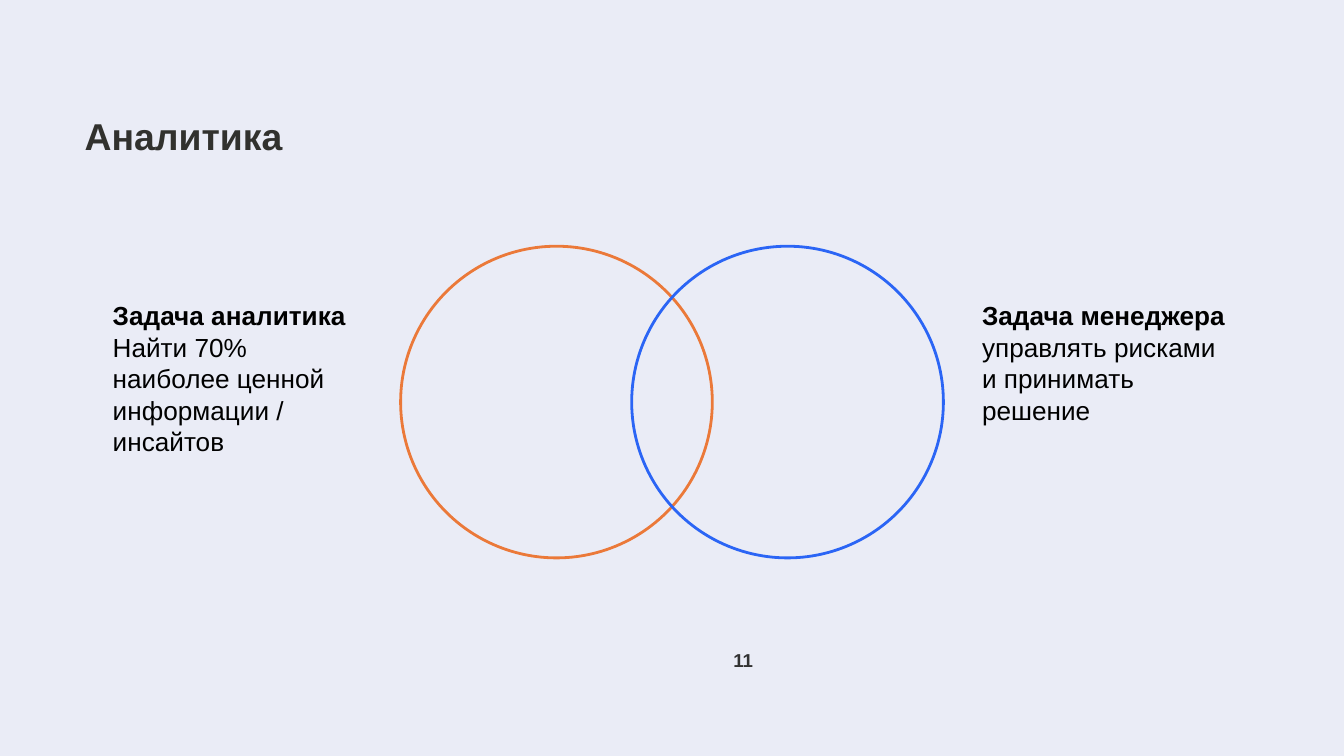
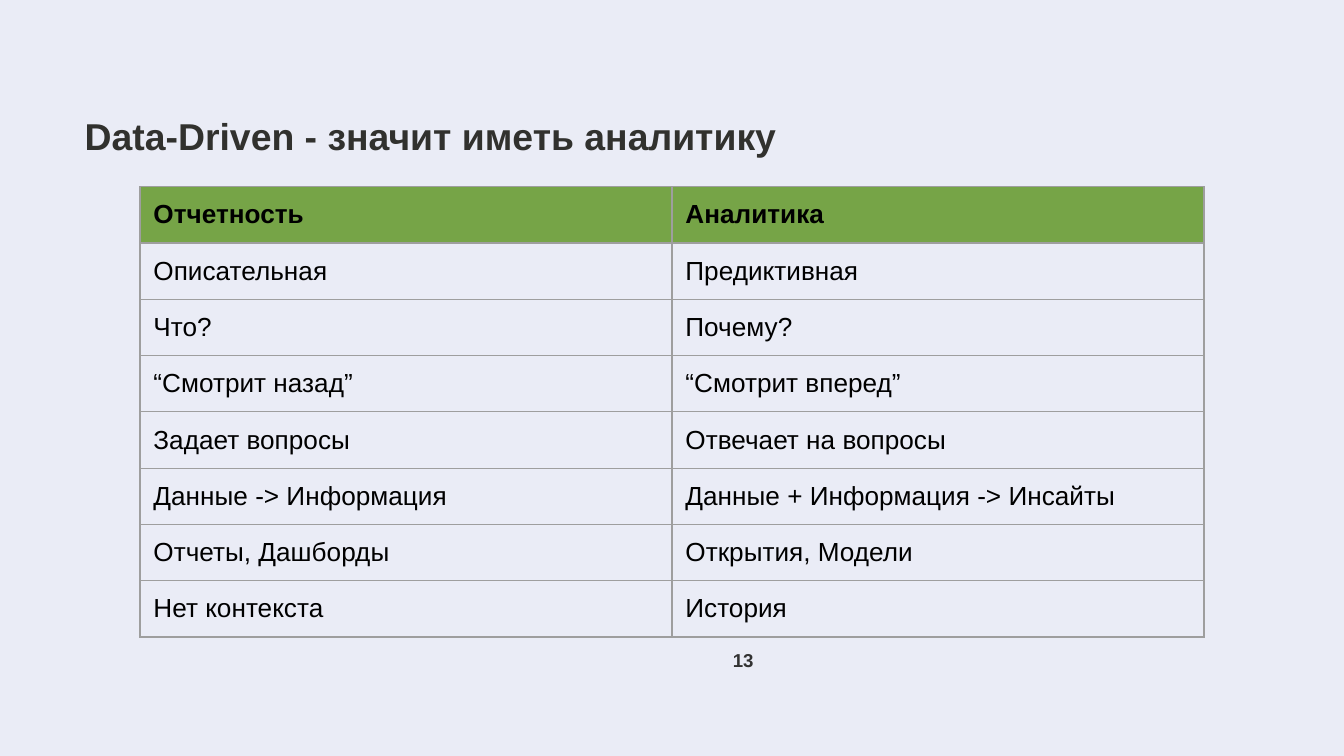
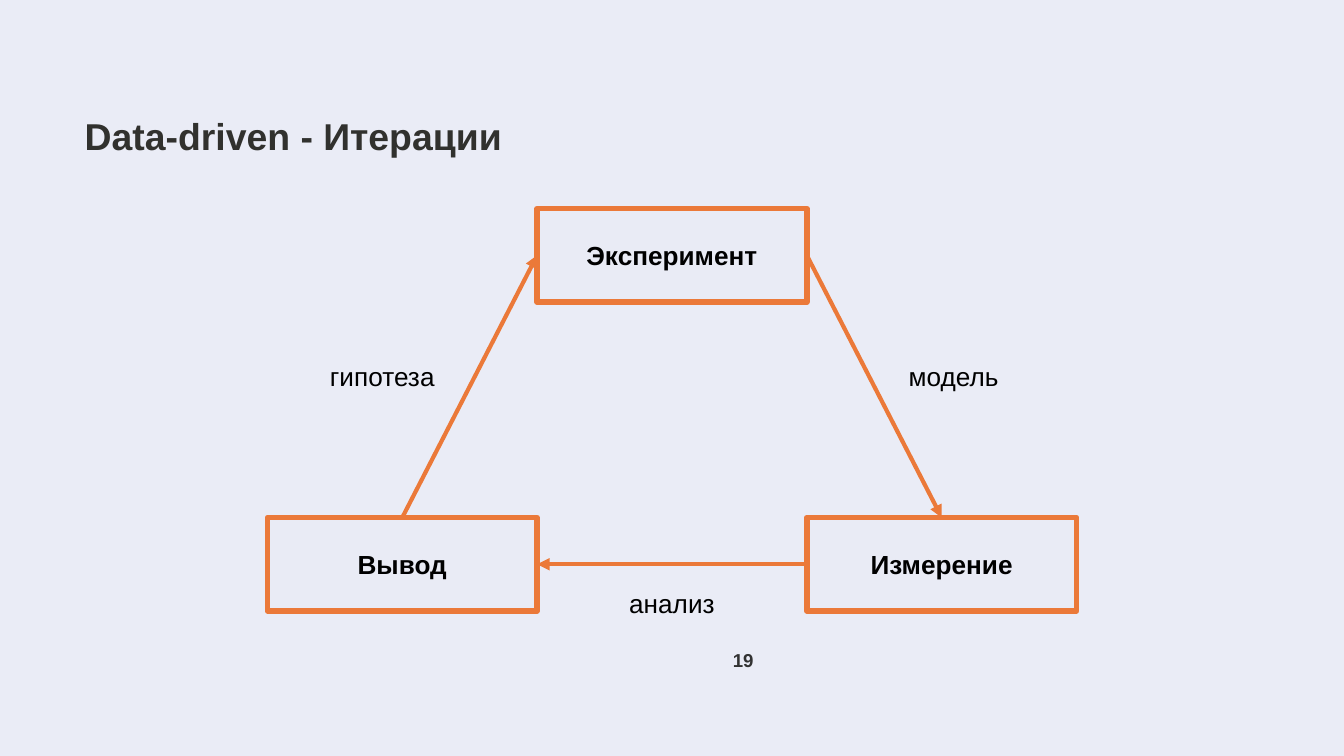
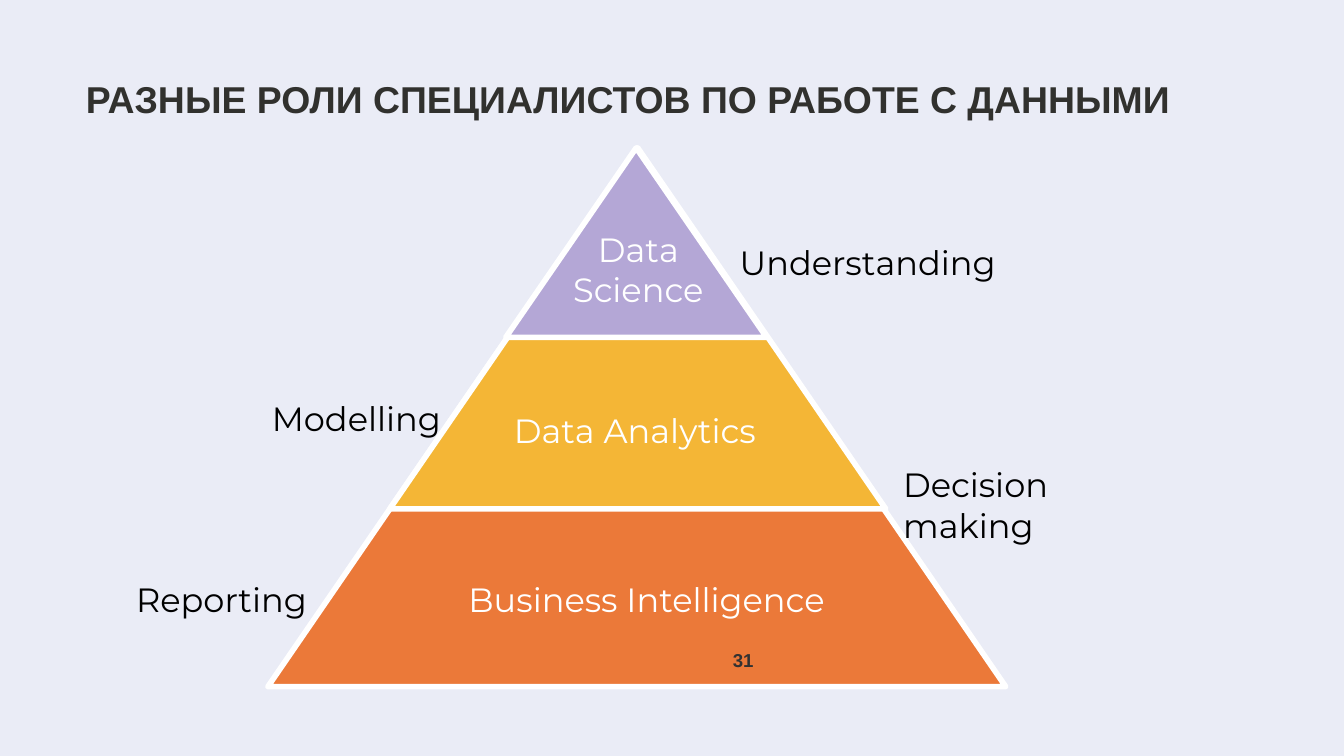
from lxml import etree
from pptx import Presentation
from pptx.dml.color import RGBColor
from pptx.enum import shapes, text
from pptx.oxml import ns
from pptx.util import Pt

BACKGROUND = RGBColor(0xEA, 0xEC, 0xF6)
TITLE_INK = RGBColor(0x31, 0x31, 0x2E)
NUMBER_INK = RGBColor(0x32, 0x32, 0x32)
BLACK = RGBColor(0x00, 0x00, 0x00)
WHITE = RGBColor(0xFF, 0xFF, 0xFF)
ORANGE = RGBColor(0xEB, 0x79, 0x39)
BLUE = RGBColor(0x2B, 0x65, 0xF5)
NODE_FILL = RGBColor(0xE9, 0xEB, 0xF5)
GREEN = RGBColor(0x76, 0xA4, 0x47)
GREY = RGBColor(0x9E, 0x9E, 0x9E)
YELLOW = RGBColor(0xF4, 0xB6, 0x36)
LILAC = RGBColor(0xB4, 0xA7, 0xD6)

LEFT, CENTER = text.PP_ALIGN.LEFT, text.PP_ALIGN.CENTER
TOP, MIDDLE = text.MSO_ANCHOR.TOP, text.MSO_ANCHOR.MIDDLE
KIND = shapes.MSO_SHAPE
TOP_SITE, LEFT_SITE, RIGHT_SITE = 0, 1, 3

TITLE_BOX = (40.3, 40.3, 614.2, 67.7)
NUMBER_BOX = (371.5, 339.8, 53.3, 29.5)
WIDE_INSET = (7.2, 7.2)
TITLE_INSET = (5.05, 2.9)
PYRAMID_INSET = (5.05, 5.05)


def assign(target, values):
    for name, value in values.items():
        setattr(target, name, value)


def points(box):
    return [Pt(value) for value in box]


def add_element(parent, tag, **attributes):
    return etree.SubElement(parent, ns.qn(tag), attributes)


class Deck:
    def __init__(self):
        self.presentation = Presentation()
        assign(self.presentation, {"slide_width": Pt(720), "slide_height": Pt(405)})
        fill = self.presentation.slide_master.background.fill
        fill.solid()
        fill.fore_color.rgb = BACKGROUND
        self.slide = None

    def new_slide(self, title, title_box=TITLE_BOX):
        layout = self.presentation.slide_layouts[5]
        self.slide = self.presentation.slides.add_slide(layout)
        shape = self.slide.shapes.title
        assign(shape, dict(zip(("left", "top", "width", "height"), points(title_box))))
        self.set_text(shape.text_frame, [(title, True)], size=20, color=TITLE_INK,
                      anchor=MIDDLE, inset=TITLE_INSET, spacing=0.9)

    def page_number(self, number):
        self.label(NUMBER_BOX, [(number, True)], size=10, color=NUMBER_INK,
                   align=CENTER, anchor=MIDDLE, inset=TITLE_INSET, spacing=0.9)

    def add_run(self, paragraph, line, size, color, font, bold):
        run = paragraph.add_run()
        run.text = line
        assign(run.font, {"name": font, "size": Pt(size), "bold": bold})
        run.font.color.rgb = color

    def set_text(self, frame, lines, size=14, color=BLACK, font="Arial", align=LEFT,
                 anchor=TOP, inset=WIDE_INSET, spacing=1.0):
        side, edge = points(inset)
        assign(frame, {"word_wrap": True, "auto_size": text.MSO_AUTO_SIZE.NONE,
                       "vertical_anchor": anchor, "margin_left": side,
                       "margin_right": side, "margin_top": edge, "margin_bottom": edge})
        for index, (line, bold) in enumerate(lines):
            paragraph = frame.add_paragraph() if index else frame.paragraphs[0]
            assign(paragraph, {"alignment": align, "line_spacing": spacing})
            self.add_run(paragraph, line, size, color, font, bold)

    def label(self, box, lines, **style):
        shape = self.slide.shapes.add_textbox(*points(box))
        self.set_text(shape.text_frame, lines, **style)

    def pyramid_label(self, box, caption, **style):
        self.label(box, [(caption, False)], size=18, font="Montserrat",
                   inset=PYRAMID_INSET, **style)

    def outline(self, shape, color, width):
        shape.line.color.rgb = color
        shape.line.width = Pt(width)
        return shape.line._get_or_add_ln()

    def shape(self, kind, box, line, width, fill=None):
        shape = self.slide.shapes.add_shape(kind, *points(box))
        shape.shadow.inherit = False
        if fill is None:
            shape.fill.background()
        else:
            shape.fill.solid()
            shape.fill.fore_color.rgb = fill
        add_element(self.outline(shape, line, width), "a:round")
        return shape

    def node(self, box, caption):
        shape = self.shape(KIND.RECTANGLE, box, ORANGE, 3, NODE_FILL)
        self.set_text(shape.text_frame, [(caption, True)], align=CENTER, anchor=MIDDLE)
        return shape

    def arrow(self, start, start_site, end, end_site):
        connector = self.slide.shapes.add_connector(
            shapes.MSO_CONNECTOR.STRAIGHT, 0, 0, 0, 0)
        connector.begin_connect(start, start_site)
        connector.end_connect(end, end_site)
        line = self.outline(connector, ORANGE, 2.25)
        add_element(line, "a:tailEnd", type="triangle")
        add_element(connector._element.spPr, "a:effectLst")

    def table(self, box, rows):
        frame = self.slide.shapes.add_table(len(rows), len(rows[0]), *points(box))
        table = frame.table
        assign(table, {"first_row": False, "horz_banding": False})
        for row_index, row in enumerate(rows):
            for column_index, value in enumerate(row):
                self.set_cell(table.cell(row_index, column_index), value, row_index == 0)

    def set_cell(self, cell, value, header):
        properties = cell._tc.get_or_add_tcPr()
        for side in "LRTB":
            line = add_element(properties, f"a:ln{side}", w=str(Pt(0.75)))
            add_element(add_element(line, "a:solidFill"), "a:srgbClr", val=str(GREY))
        if header:
            cell.fill.solid()
            cell.fill.fore_color.rgb = GREEN
        else:
            cell.fill.background()
        margin = Pt(WIDE_INSET[0])
        assign(cell, {f"margin_{side}": margin for side in ("left", "right", "top", "bottom")})
        self.add_run(cell.text_frame.paragraphs[0], value, 14, BLACK, "Arial", header)


def analytics_slide(deck):
    deck.new_slide("Аналитика")
    deck.page_number("11")
    for left, color in ((214.6, ORANGE), (338.4, BLUE)):
        deck.shape(KIND.OVAL, (left, 131.9, 167, 167), color, 1.5)
    tasks = (
        (53.3, "Задача аналитика", "Найти 70% наиболее ценной информации / инсайтов"),
        (519, "Задача менеджера", "управлять рисками и принимать решение"),
    )
    for left, heading, body in tasks:
        deck.label((left, 153.4, 144.7, 98), [(heading, True), (body, False)])


def comparison_slide(deck):
    deck.new_slide("Data-Driven - значит иметь аналитику")
    deck.page_number("13")
    deck.table((75, 100, 570, 241), [
        ("Отчетность", "Аналитика"),
        ("Описательная", "Предиктивная"),
        ("Что?", "Почему?"),
        ("“Смотрит назад”", "“Смотрит вперед”"),
        ("Задает вопросы", "Отвечает на вопросы"),
        ("Данные -> Информация", "Данные + Информация -> Инсайты"),
        ("Отчеты, Дашборды", "Открытия, Модели"),
        ("Нет контекста", "История"),
    ])


def iterations_slide(deck):
    deck.new_slide("Data-driven - Итерации")
    deck.page_number("19")
    width, height = 144.5, 50
    middle = 360 - width / 2
    experiment = deck.node((middle, 111.8, width, height), "Эксперимент")
    measurement = deck.node((middle + width, 277.3, width, height), "Измерение")
    conclusion = deck.node((middle - width, 277.3, width, height), "Вывод")
    deck.arrow(conclusion, TOP_SITE, experiment, LEFT_SITE)
    deck.arrow(experiment, RIGHT_SITE, measurement, TOP_SITE)
    deck.arrow(measurement, LEFT_SITE, conclusion, RIGHT_SITE)
    steps = ((169.7, 185.8, "гипотеза"), (479.7, 185.8, "модель"), (330, 307.4, "анализ"))
    for left, top, caption in steps:
        deck.label((left, top, 79.2, 29.5), [(caption, False)])


def roles_slide(deck):
    deck.new_slide("РАЗНЫЕ РОЛИ СПЕЦИАЛИСТОВ ПО РАБОТЕ С ДАННЫМИ", (41, 20.2, 614.2, 67.7))
    levels = (
        ((143.5, 79.9, 395.3, 288), ORANGE),
        ((208.8, 79.2, 265.7, 193.4), YELLOW),
        ((271, 79.2, 139.7, 101.5), LILAC),
    )
    for box, fill in levels:
        deck.shape(KIND.ISOSCELES_TRIANGLE, box, WHITE, 3, fill)
    roles = (
        ((298.1, 117.4, 87.8, 45.4), "Data Science"),
        ((264.2, 214.6, 152, 49.7), "Data Analytics"),
        ((225.4, 305.3, 242, 49.7), "Business Intelligence"),
    )
    for box, caption in roles:
        deck.pyramid_label(box, caption, color=WHITE, align=CENTER)
    outcomes = (
        (67.9, 305.3, "Reporting"),
        (140.6, 208, "Modelling"),
        (478.8, 243.7, "Decision making"),
        (391.2, 124.8, "Understanding"),
    )
    for left, top, caption in outcomes:
        deck.pyramid_label((left, top, 157.7, 44.6), caption)
    deck.page_number("31")


def main():
    deck = Deck()
    for build in (analytics_slide, comparison_slide, iterations_slide, roles_slide):
        build(deck)
    deck.presentation.save("out.pptx")


if __name__ == "__main__":
    main()
